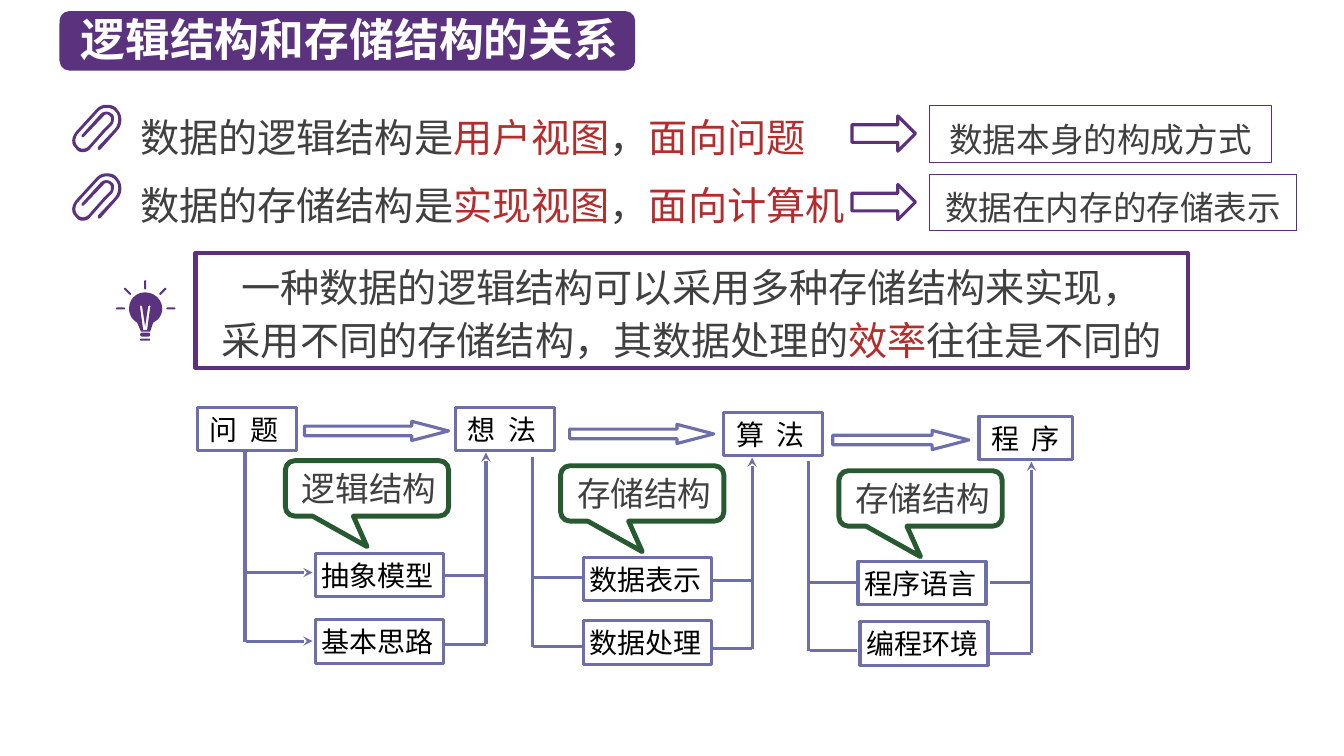
"""Build the slide on how logical structure relates to storage structure."""
from collections import namedtuple

from lxml import etree
from pptx import Presentation
from pptx import util as u
from pptx.dml.color import RGBColor
from pptx.enum import shapes, text
from pptx.oxml.ns import qn

FONT = "Noto Sans CJK SC"
PURPLE = RGBColor(0x5A, 0x32, 0x7D)
FRAME = RGBColor(0x5C, 0x30, 0x7D)
BLUE = RGBColor(0x6E, 0x6E, 0xAA)
GREEN = RGBColor(0x28, 0x5A, 0x32)
RED = RGBColor(0xB4, 0x2D, 0x2D)
GRAY = RGBColor(0x40, 0x40, 0x40)
BLACK = RGBColor(0, 0, 0)
WHITE = RGBColor(0xFF, 0xFF, 0xFF)
KIND = shapes.MSO_SHAPE
CENTER, LEFT = text.PP_ALIGN.CENTER, text.PP_ALIGN.LEFT
MIDDLE, TOP = text.MSO_ANCHOR.MIDDLE, text.MSO_ANCHOR.TOP

TITLE = "逻辑结构和存储结构的关系"
VIEWS = [
    ([("数据的逻辑结构是", GRAY), ("用户视图", RED), ("，", GRAY), ("面向问题", RED)],
     6.88, "数据本身的构成方式", 3.39),
    ([("数据的存储结构是", GRAY), ("实现视图", RED), ("，", GRAY), ("面向计算机", RED)],
     7.21, "数据在内存的存储表示", 3.64),
]
SUMMARY = [
    [("一种数据的逻辑结构可以采用多种存储结构来实现，", GRAY)],
    [("采用不同的存储结构，其数据处理的", GRAY), ("效率", RED), ("往往是不同的", GRAY)],
]
STAGES = [("问 题", 1.96, 4.04, 0.98), ("想 法", 4.52, 4.04, 0.98),
          ("算 法", 7.18, 4.09, 0.98), ("程 序", 9.71, 4.13, 0.93)]
Step = namedtuple("Step", "callout callout_x arrow details trunk branch_ys branch_end "
                          "join_x join_ys riser riser_foot head")
STEPS = [
    Step("逻辑结构", 2.83, (3.02, 4.18, 1.43),
         [("抽象模型", 3.13, 5.49), ("基本思路", 3.13, 6.15)],
         (2.43, 4.48), (5.68, 6.36), 3.1, 4.41, (5.71, 6.39), 4.82, 6.39, True),
    Step("存储结构", 5.56, (5.65, 4.21, 1.43),
         [("数据表示", 5.79, 5.53), ("数据处理", 5.79, 6.16)],
         (5.28, 4.53), (5.73, 6.41), 5.77, 7.07, (5.76, 6.43), 7.46, 6.44, False),
    Step("存储结构", 8.32, (8.26, 4.27, 1.35),
         [("程序语言", 8.51, 5.57), ("编程环境", 8.53, 6.17)],
         (8.02, 4.57), (5.78, 6.45), 8.5, 9.82, (5.78, 6.48), 10.23, 6.48, False),
]
CLIP = [
    (1.16, 1.08), (1.14, 1.05, 1.1, 1.04, 1.06, 1.04), (1.02, 1.04, 0.99, 1.05, 0.96, 1.08),
    (0.75, 1.31), (0.71, 1.36, 0.7, 1.43, 0.75, 1.47), (0.77, 1.5, 0.79, 1.51, 0.82, 1.51),
    (0.85, 1.51, 0.88, 1.5, 0.9, 1.47), (1.05, 1.3), (1.11, 1.24),
    (1.12, 1.23, 1.13, 1.21, 1.13, 1.18), (1.13, 1.16, 1.13, 1.14, 1.11, 1.13),
    (1.08, 1.1, 1.03, 1.1, 1, 1.13), (0.81, 1.34), (0.81, 1.34, 0.81, 1.35, 0.81, 1.36),
    (0.83, 1.36), (1.03, 1.15), (1.04, 1.13, 1.07, 1.13, 1.09, 1.15),
    (1.1, 1.16, 1.1, 1.17, 1.1, 1.18), (1.1, 1.2, 1.1, 1.21, 1.09, 1.22), (1.03, 1.28),
    (0.88, 1.45), (0.85, 1.48, 0.8, 1.49, 0.77, 1.45), (0.74, 1.42, 0.74, 1.37, 0.77, 1.33),
    (0.98, 1.1), (1, 1.08, 1.03, 1.07, 1.06, 1.07), (1.09, 1.07, 1.12, 1.08, 1.14, 1.1),
    (1.19, 1.15, 1.18, 1.23, 1.14, 1.28), (0.97, 1.46), (0.97, 1.46, 0.97, 1.47, 0.97, 1.48),
    (0.98, 1.49), (1, 1.48), (1.16, 1.3), (1.22, 1.24, 1.22, 1.14, 1.16, 1.08),
]
BULB = [
    (1.44, 2.9), (1.35, 2.9, 1.28, 2.97, 1.28, 3.06), (1.28, 3.12, 1.31, 3.17, 1.36, 3.2),
    (1.4, 3.29), (1.49, 3.29), (1.52, 3.2), (1.58, 3.17, 1.61, 3.12, 1.61, 3.06),
    (1.61, 2.97, 1.53, 2.9, 1.44, 2.9),
]
FILAMENT = [
    (1.46, 3.27), (1.45, 3.28), (1.44, 3.27), (1.43, 3.28), (1.42, 3.27), (1.39, 3.05),
    (1.39, 3.04, 1.39, 3.03, 1.4, 3.03), (1.41, 3.04), (1.44, 3.24), (1.47, 3.04),
    (1.47, 3.04, 1.48, 3.03, 1.48, 3.03), (1.49, 3.03, 1.5, 3.04, 1.49, 3.05), (1.46, 3.27),
]
BULB_BARS = [(1.39, 3.36, 0.1, 0.02, 0), (1.39, 3.3, 0.1, 0.04, 0), (1.43, 2.78, 0.02, 0.09, 0),
             (1.22, 2.88, 0.09, 0.02, 45), (1.57, 2.88, 0.09, 0.02, -45),
             (1.15, 3.05, 0.09, 0.02, 0), (1.65, 3.05, 0.09, 0.02, 0)]

prs = Presentation()
prs.slide_width, prs.slide_height = u.Inches(13.33), u.Inches(7.5)
s = prs.slides.add_slide(prs.slide_layouts[6])


def write(sp, lines, size, align=LEFT, anchor=TOP, insets=(0.1, 0.05, 0.1, 0.05),
          spacing=None, bold=False, tracking=None, wrap=True):
    tf = sp.text_frame
    left, top, right, bottom = map(u.Inches, insets)
    frame = dict(word_wrap=wrap, vertical_anchor=anchor, margin_left=left, margin_top=top,
                 margin_right=right, margin_bottom=bottom)
    for key, value in frame.items():
        setattr(tf, key, value)
    for i, runs in enumerate(lines):
        p = tf.add_paragraph() if i else tf.paragraphs[0]
        p.alignment, p.line_spacing = align, spacing
        for words, color in runs:
            r = p.add_run()
            r.text = words
            for key, value in dict(name=FONT, size=u.Pt(size), bold=bold).items():
                setattr(r.font, key, value)
            r.font.color.rgb = color
            rpr = r.font._element
            etree.SubElement(rpr, qn("a:ea"), typeface=FONT)
            if tracking:
                rpr.set("spc", str(tracking))


def paint(sp, fill=None, line=None, width=0.75):
    sp.shadow.inherit = False
    if fill is None:
        sp.fill.background()
    else:
        sp.fill.solid()
        sp.fill.fore_color.rgb = fill
    if line is None:
        sp.line.fill.background()
    else:
        sp.line.color.rgb, sp.line.width = line, u.Pt(width)
    return sp


def shape(kind, x, y, w, h, fill=None, line=None, width=0.75, adj=()):
    sp = s.shapes.add_shape(kind, *map(u.Inches, (x, y, w, h)))
    for i, value in enumerate(adj):
        sp.adjustments[i] = value
    return paint(sp, fill, line, width)


def textbox(x, y, w, h, runs, size, **style):
    write(s.shapes.add_textbox(*map(u.Inches, (x, y, w, h))), [runs], size, **style)


def trace(path, dy=0, steps=6):
    points = [path[0]]
    for seg in path[1:]:
        if len(seg) == 2:
            points.append(seg)
            continue
        (x0, y0), (x1, y1, x2, y2, x3, y3) = points[-1], seg
        for t in (i / steps for i in range(1, steps + 1)):
            a, b, c, d = (1 - t) ** 3, 3 * t * (1 - t) ** 2, 3 * t * t * (1 - t), t ** 3
            points.append((a * x0 + b * x1 + c * x2 + d * x3, a * y0 + b * y1 + c * y2 + d * y3))
    return [(u.Inches(x), u.Inches(y + dy)) for x, y in points]


def outline(paths, dy=0):
    first, *holes = [trace(path, dy) for path in paths]
    fb = s.shapes.build_freeform(*first[0])
    fb.add_line_segments(first[1:])
    for hole in holes:
        fb.move_to(*hole[0])
        fb.add_line_segments(hole[1:])
    paint(fb.convert_to_shape(), PURPLE)


def link(x1, y1, x2, y2, head=False):
    c = s.shapes.add_connector(shapes.MSO_CONNECTOR.STRAIGHT, *map(u.Inches, (x1, y1, x2, y2)))
    c.line.color.rgb, c.line.width = BLUE, u.Pt(2.25)
    if head:
        etree.SubElement(c.line._get_or_add_ln(), qn("a:tailEnd"), type="stealth")
    etree.SubElement(c._element.spPr, qn("a:effectLst"))


def label(words, x, y, w, indent=0.06, tracking=None):
    sp = shape(KIND.RECTANGLE, x, y, w, 0.43, line=BLUE, width=2.25)
    write(sp, [[(words, BLACK)]], 20, anchor=MIDDLE, insets=(indent, 0.01, 0, 0.01),
          tracking=tracking)


shape(KIND.ROUNDED_RECTANGLE, 0.59, 0.11, 5.71, 0.59, PURPLE)
textbox(0.7, 0.07, 5.65, 0.64, [(TITLE, WHITE)], 32, bold=True)

for i, (runs, width, meaning, box_width) in enumerate(VIEWS):
    dy = 0.68 * i
    textbox(1.29, 0.98 + dy, width, 0.76, runs, 28, spacing=1.2, wrap=False)
    outline([CLIP], dy)
    shape(KIND.RIGHT_ARROW, 8.45, 1.15 + dy, 0.63, 0.35, line=FRAME, width=2.25)
    sp = shape(KIND.RECTANGLE, 9.22, 1.05 + dy, box_width, 0.56, line=FRAME)
    write(sp, [[(meaning, GRAY)]], 24, align=CENTER, spacing=1.2)

sp = shape(KIND.RECTANGLE, 1.94, 2.51, 9.84, 1.14, line=FRAME, width=3)
write(sp, SUMMARY, 28, align=CENTER, anchor=MIDDLE, spacing=u.Pt(38))
outline([BULB, FILAMENT])
for *box, angle in BULB_BARS:
    shape(KIND.ROUNDED_RECTANGLE, *box, PURPLE, adj=[0.5]).rotation = angle

for name, x, y, w in STAGES:
    label(name, x, y, w, indent=0.12, tracking=225)
for i, step in enumerate(STEPS):
    shape(KIND.RIGHT_ARROW, *step.arrow, 0.19, line=BLUE, width=2.25, adj=(0.5, 1.92))
    for name, x, y in step.details:
        label(name, x, y, 1.27)
    x, top = step.trunk
    link(x, top, x, top + 1.89)
    for y in step.branch_ys:
        link(x + 0.01, y, step.branch_end, y, step.head)
    for y in step.join_ys:
        link(step.join_x, y, step.riser, y)
    link(step.riser, step.riser_foot, step.riser, step.riser_foot - 1.9, True)
    sp = shape(KIND.ROUNDED_RECTANGULAR_CALLOUT, step.callout_x, 4.57 + 0.05 * i, 1.62, 0.55,
               line=GREEN, width=3.5, adj=(0, 1.05, 0.17))
    write(sp, [[(step.callout, GRAY)]], 24, align=CENTER, anchor=MIDDLE, insets=(0.04, 0, 0, 0))

prs.save("out.pptx")
